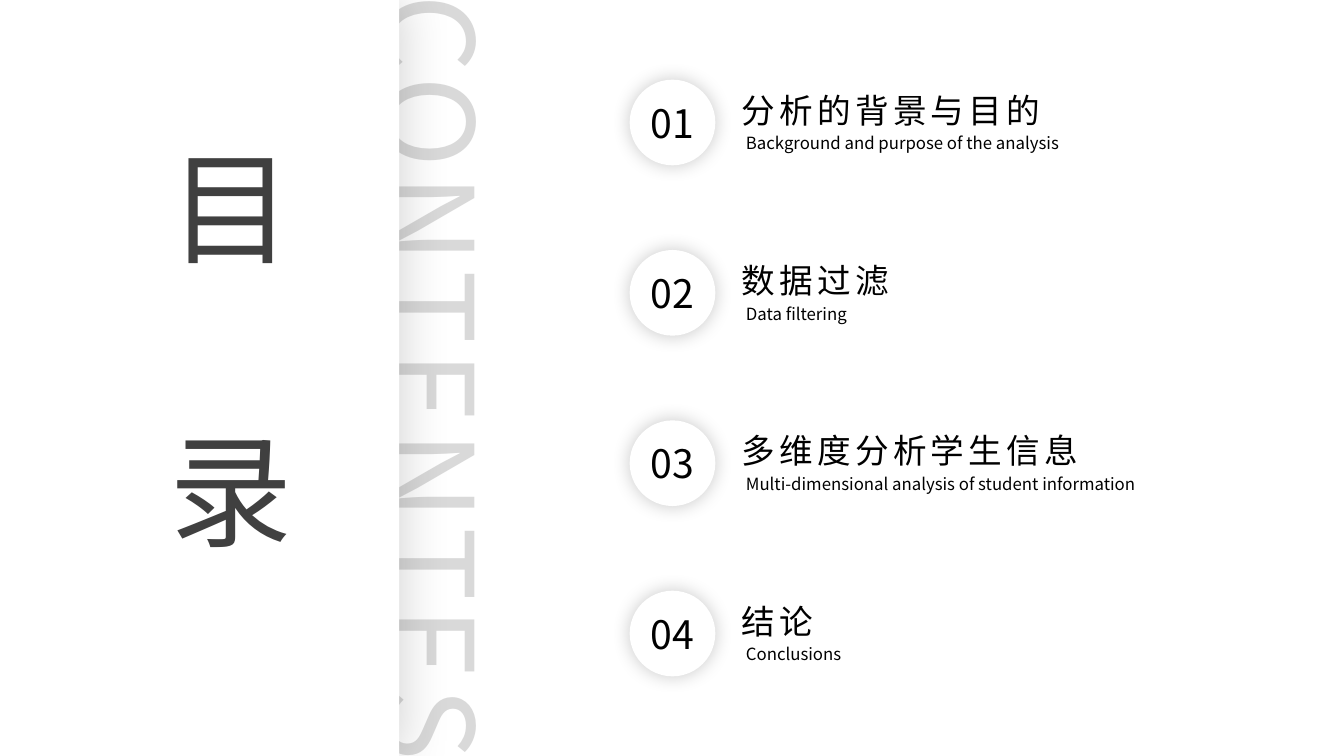
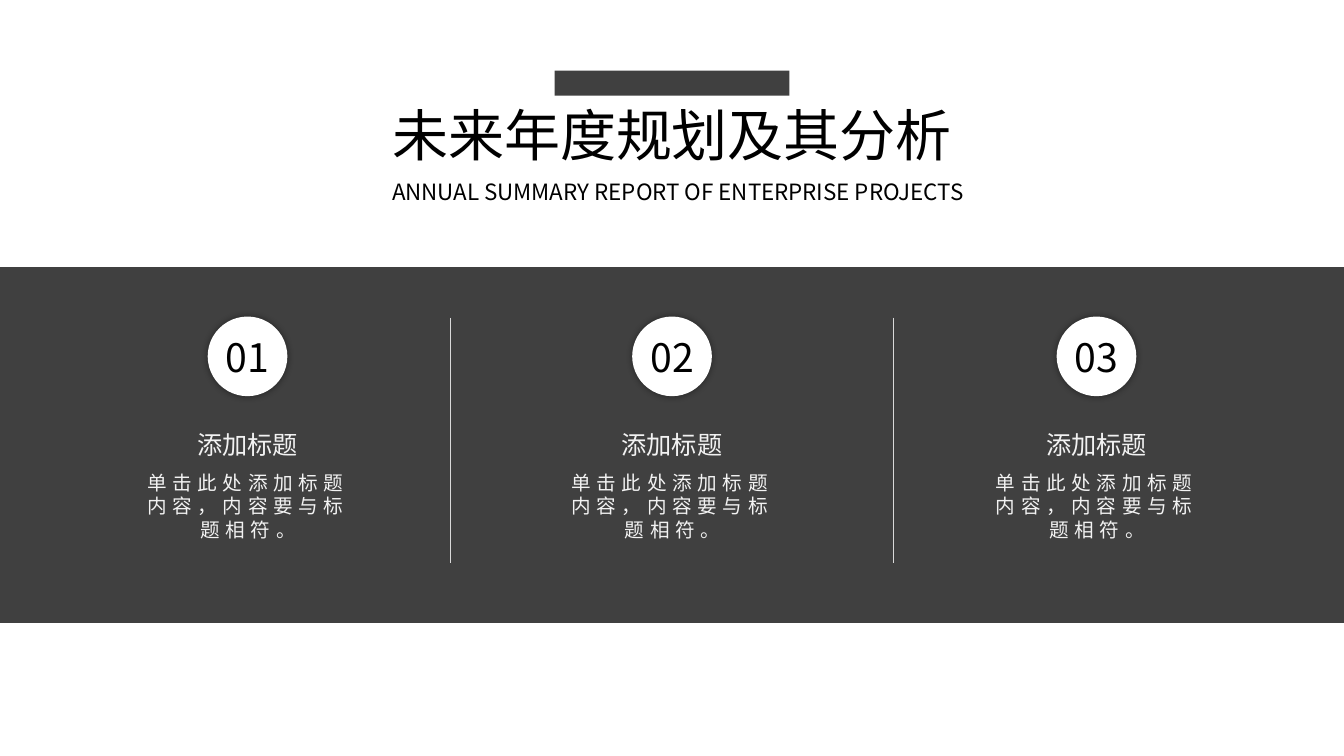
from lxml import etree
from pptx import Presentation
from pptx.dml.color import RGBColor
from pptx.enum import shapes, text
from pptx.oxml import ns
from pptx.util import Inches, Pt

FONT = "Noto Sans CJK SC"
WHITE = RGBColor(0xFF, 0xFF, 0xFF)
BLACK = RGBColor(0x00, 0x00, 0x00)
DARK = RGBColor(0x40, 0x40, 0x40)
SILVER = RGBColor(0xD9, 0xD9, 0xD9)
PALE = RGBColor(0xF2, 0xF2, 0xF2)

WIDTH, HEIGHT = 13.33, 7.5
TITLE_ONLY = 5
RECTANGLE = shapes.MSO_SHAPE.RECTANGLE
OVAL = shapes.MSO_SHAPE.OVAL
LEFT, CENTER = text.PP_ALIGN.LEFT, text.PP_ALIGN.CENTER

AGENDA = [
    ("分析的背景与目的", "Background and purpose of the analysis"),
    ("数据过滤", "Data filtering"),
    ("多维度分析学生信息", "Multi-dimensional analysis of student information"),
    ("结论", "Conclusions"),
]
PLANS = [("添加标题", "单击此处添加标题内容，内容要与标题相符。")] * 3


def set_all(target, values):
    for name, value in values.items():
        setattr(target, name, value)


def add_effects(shape, shadow=None):
    """Give the shape an effect list; shadow is (opacity %, blur pt, distance pt)."""
    effects = etree.SubElement(shape.element.spPr, ns.qn("a:effectLst"))
    if shadow:
        opacity, blur, distance = shadow
        outer = etree.SubElement(
            effects, ns.qn("a:outerShdw"), blurRad=str(Pt(blur)),
            dist=str(Pt(distance)), dir="0", algn="ctr", rotWithShape="0")
        color = etree.SubElement(outer, ns.qn("a:srgbClr"), val=str(BLACK))
        etree.SubElement(color, ns.qn("a:alpha"), val=str(opacity * 1000))


class Deck:
    """Holds the presentation, its style and the current slide."""

    def __init__(self):
        self.presentation = Presentation()
        set_all(self.presentation, {"slide_width": Inches(WIDTH),
                                    "slide_height": Inches(HEIGHT)})
        self.slide = None

    def new_slide(self):
        layout = self.presentation.slide_layouts[TITLE_ONLY]
        self.slide = self.presentation.slides.add_slide(layout)

    def set_text(self, shape, words, size, color=BLACK, align=CENTER, tracking=0,
                 gap=0):
        """Fill the shape with text; tracking and gap (after a paragraph) are in points."""
        shape.text_frame.text = words
        for paragraph in shape.text_frame.paragraphs:
            set_all(paragraph, {"alignment": align, "line_spacing": 1.0,
                                "space_after": Pt(gap)})
            for run in paragraph.runs:
                set_all(run.font, {"name": FONT, "size": Pt(size)})
                run.font.color.rgb = color
                properties = run.font._element
                etree.SubElement(properties, ns.qn("a:ea"), typeface=FONT)
                if tracking:
                    properties.set("spc", str(tracking * 100))

    def title(self, words, left, top, width, height, size, **style):
        title = self.slide.shapes.title
        set_all(title, {"left": Inches(left), "top": Inches(top),
                        "width": Inches(width), "height": Inches(height)})
        set_all(title.text_frame, {"word_wrap": True,
                                   "auto_size": text.MSO_AUTO_SIZE.NONE,
                                   "vertical_anchor": text.MSO_ANCHOR.TOP})
        self.set_text(title, words, size, **style)
        title.element.getparent().append(title.element)  # bring to front

    def label(self, words, left, top, width, height, size, rotation=0, **style):
        box = self.slide.shapes.add_textbox(
            Inches(left), Inches(top), Inches(width), Inches(height))
        box.rotation = rotation
        set_all(box.text_frame, {"word_wrap": True,
                                 "auto_size": text.MSO_AUTO_SIZE.SHAPE_TO_FIT_TEXT})
        self.set_text(box, words, size, **style)

    def shape(self, kind, left, top, width, height, fill, shadow=None):
        shape = self.slide.shapes.add_shape(
            kind, Inches(left), Inches(top), Inches(width), Inches(height))
        shape.fill.solid()
        shape.fill.fore_color.rgb = fill
        shape.line.fill.background()
        add_effects(shape, shadow)
        return shape

    def badge(self, number, center, top, diameter, shadow):
        badge = self.shape(OVAL, center - diameter / 2, top, diameter, diameter,
                           WHITE, shadow)
        set_all(badge.text_frame, {"word_wrap": False, "margin_left": 0,
                                   "margin_right": 0, "margin_top": 0,
                                   "margin_bottom": 0,
                                   "vertical_anchor": text.MSO_ANCHOR.MIDDLE})
        self.set_text(badge, f"{number:02}", 28)

    def divider(self, x, top, bottom):
        line = self.slide.shapes.add_connector(
            shapes.MSO_CONNECTOR.STRAIGHT,
            Inches(x), Inches(top), Inches(x), Inches(bottom))
        line.line.color.rgb = SILVER
        line.line.width = Pt(0.5)
        add_effects(line)


def build_contents(deck):
    deck.new_slide()
    deck.label("CONTENTES", -0.88, 2.96, 10.34, 1.58, 88, rotation=90,
               color=SILVER, tracking=5)
    deck.shape(RECTANGLE, 0, 0, 3.96, HEIGHT, WHITE, shadow=(16, 36, 3))
    deck.title("目\n录", 1.48, 1.25, 1.62, 4.39, 88, color=DARK, gap=97)

    first_top, pitch = 0.79, 1.69
    for index, (heading, translation) in enumerate(AGENDA):
        top = first_top + index * pitch
        deck.badge(index + 1, 6.67, top, 0.85, shadow=(22, 14, 0))
        deck.label(heading, 7.26, top + 0.05, 4.21, 0.5, 24, align=LEFT, tracking=3)
        deck.label(translation, 7.3, top + 0.48, 4.54, 0.3, 12, align=LEFT)


def build_plan(deck):
    deck.new_slide()
    deck.title("未来年度规划及其分析", 3.47, 0.95, 6.39, 0.77, 40)
    deck.label("ANNUAL SUMMARY REPORT OF ENTERPRISE PROJECTS",
               3.58, 1.72, 6.29, 0.37, 16)
    deck.shape(RECTANGLE, 5.5, 0.7, 2.33, 0.25, DARK)
    deck.shape(RECTANGLE, 0, 2.65, WIDTH, 3.53, DARK)

    for side in (-1, 1):
        deck.divider(WIDTH / 2 + side * 2.2, 3.15, 5.59)

    pitch = 4.21
    for index, (heading, body) in enumerate(PLANS):
        center = WIDTH / 2 + (index - 1) * pitch
        deck.badge(index + 1, center, 3.14, 0.79, shadow=(40, 5, 0))
        deck.label(heading, center - 0.83, 4.21, 1.66, 0.4, 18, color=PALE)
        deck.label(body, center - 1.22, 4.62, 2.45, 0.81, 14, color=PALE, tracking=4)


def main():
    deck = Deck()
    build_contents(deck)
    build_plan(deck)
    deck.presentation.save("out.pptx")


if __name__ == "__main__":
    main()
